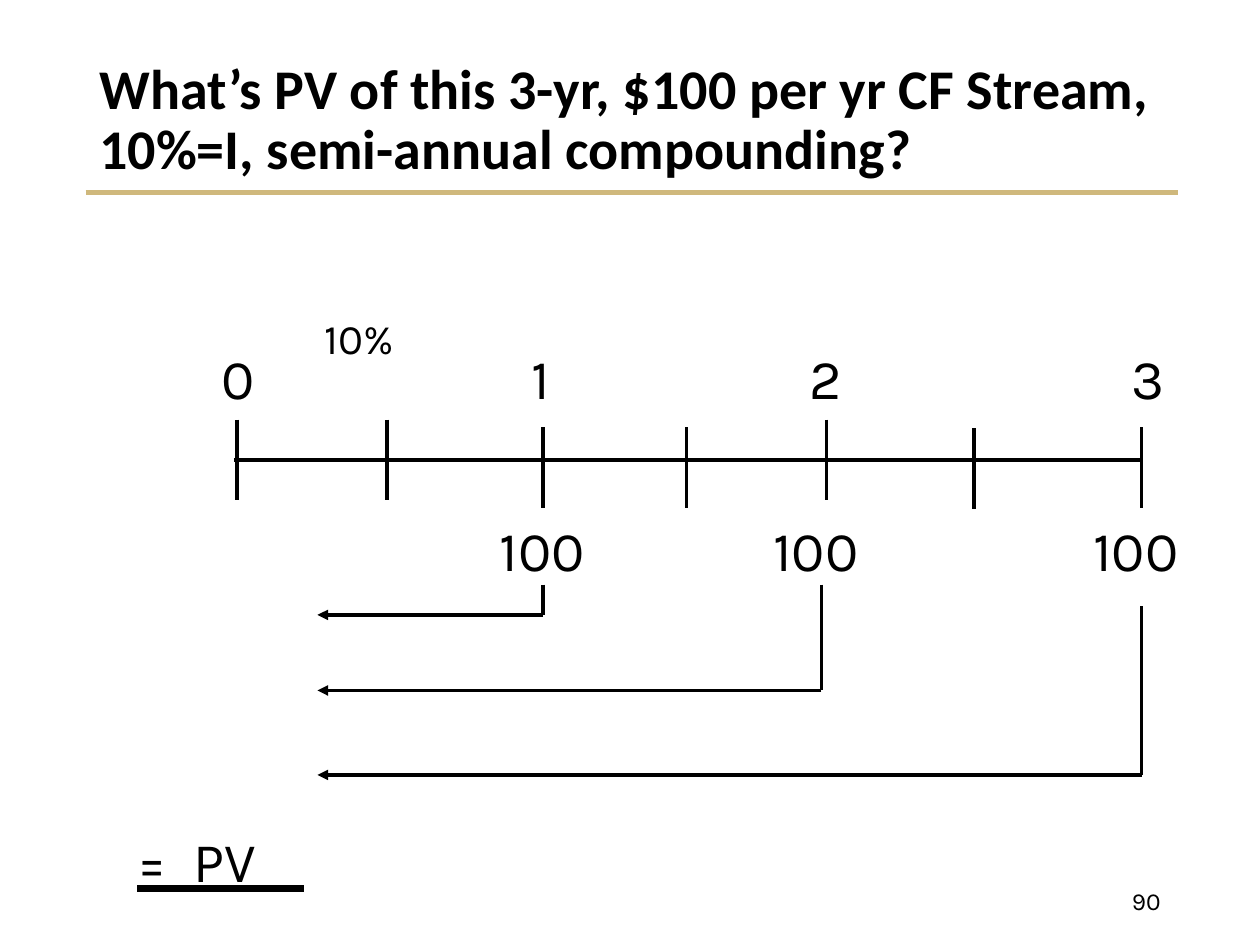
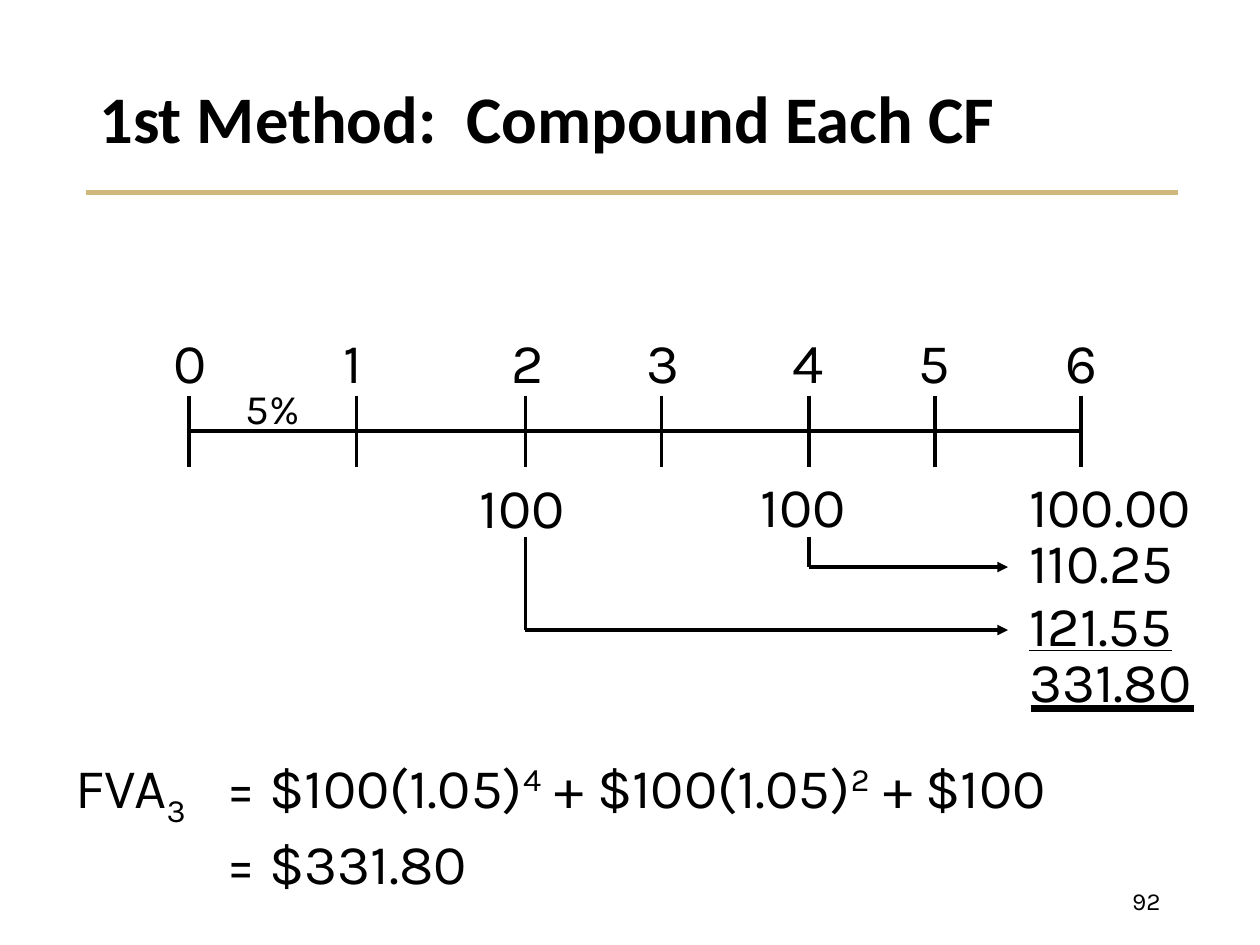
from lxml import etree
from pptx import Presentation
from pptx.dml.color import RGBColor
from pptx.enum.shapes import MSO_CONNECTOR
from pptx.enum.text import MSO_ANCHOR, PP_ALIGN
from pptx.oxml.ns import qn
from pptx.util import Inches, Pt

STRAIGHT = MSO_CONNECTOR.STRAIGHT
TOP, MIDDLE = MSO_ANCHOR.TOP, MSO_ANCHOR.MIDDLE
LEFT, RIGHT = PP_ALIGN.LEFT, PP_ALIGN.RIGHT
BLACK, GOLD = "000000", "CFB87C"
BODY = dict(name="Karla", size=Pt(32), bold=False)
RATE = dict(BODY, size=Pt(24))
NUMBER = dict(BODY, size=Pt(14))
TITLE = dict(name="Calibri", bold=True)


def add_text(s, x, y, w, h, paras, fmt=BODY, anchor=TOP, align=LEFT, wrap=False):
    """Each paragraph is a list of (text, baseline shift in percent)."""
    tf = s.shapes.add_textbox(Inches(x), Inches(y), Inches(w), Inches(h)).text_frame
    tf.word_wrap = wrap
    tf.vertical_anchor = anchor
    for i, runs in enumerate(paras):
        p = tf.add_paragraph() if i else tf.paragraphs[0]
        p.alignment = align
        for text, shift in runs:
            r = p.add_run()
            r.text = text
            for key, value in fmt.items():
                setattr(r.font, key, value)
            r.font.color.rgb = RGBColor.from_string(BLACK)
            if shift:
                r.font._element.set("baseline", str(shift * 1000))
    return tf


def add_line(s, x1, y1, x2, y2, color=BLACK, width=2, arrow=False):
    c = s.shapes.add_connector(STRAIGHT, Inches(x1), Inches(y1), Inches(x2), Inches(y2))
    c.line.color.rgb = RGBColor.from_string(color)
    c.line.width = Pt(width)
    if arrow:
        etree.SubElement(c.line._ln, qn("a:tailEnd"), type="triangle")
    etree.SubElement(c._element.spPr, qn("a:effectLst"))


prs = Presentation()
prs.slide_width, prs.slide_height = Inches(10), Inches(7.5)

# Shared title, rule and slide number
slides = []
for title, size, number in [
    ("What’s PV of this 3-yr, $100 per yr CF Stream, 10%=I, semi-annual compounding?", 32, "90"),
    ("1st Method:  Compound Each CF", 38, "92"),
]:
    s = prs.slides.add_slide(prs.slide_layouts[6])
    add_line(s, 0.68, 1.53, 9.35, 1.53, GOLD, 3)
    tf = add_text(s, 0.69, 0.4, 8.62, 1.13, [[(title, 0)]],
                  dict(TITLE, size=Pt(size)), MIDDLE, wrap=True)
    tf.paragraphs[0].line_spacing = 0.9
    add_text(s, 7.06, 6.95, 2.25, 0.4, [[(number, 0)]], NUMBER, MIDDLE, RIGHT, True)
    slides.append(s)

# Slide 1: three-year timeline with half-year ticks
s = slides[0]
add_line(s, 1.86, 3.65, 9.06, 3.65)
for x, y in [(1.88, 3.33), (3.07, 3.33), (4.31, 3.39), (5.45, 3.39),
             (6.56, 3.33), (7.73, 3.4), (9.06, 3.39)]:
    add_line(s, x, y, x, y + 0.64)
for year, x in enumerate([1.66, 4.12, 6.33, 8.88]):
    add_text(s, x, 2.68, 0.45, 0.63, [[(str(year), 0)]])
add_text(s, 2.48, 2.43, 0.91, 0.5, [[("10%", 0)]], RATE)

# Slide 1: cash flows discounted back to year 0
for label_x, x, top, bottom in [(3.87, 4.31, 4.64, 4.88),
                                (6.04, 6.52, 4.64, 5.48),
                                (8.58, 9.06, 4.81, 6.15)]:
    add_text(s, label_x, 4.04, 0.94, 0.63, [[("100", 0)]])
    add_line(s, x, top, x, bottom)
    add_line(s, x, bottom, 2.52, bottom, arrow=True)
add_text(s, 0.99, 6.51, 1.32, 0.64, [[("=  PV", 0)]])
add_line(s, 1.09, 7.05, 2.41, 7.05, width=4)

# Slide 2: timeline of six half-year periods
s = slides[1]
add_line(s, 1.5, 3.42, 8.58, 3.42)
for period, (x, label_x) in enumerate([(1.5, 1.28), (2.83, 2.63), (4.17, 3.96), (5.25, 5.03),
                                       (6.42, 6.19), (7.42, 7.19), (8.58, 8.36)]):
    add_line(s, x, 3.14, x, 3.71)
    add_text(s, label_x, 2.55, 0.44, 0.63, [[(str(period), 0)]])
add_text(s, 1.85, 2.99, 0.71, 0.5, [[("5%", 0)]], RATE)

# Slide 2: cash flows compounded to period 6
for label_x, label_y, x, bottom in [(3.71, 3.7, 4.17, 5), (5.94, 3.69, 6.42, 4.5)]:
    add_text(s, label_x, label_y, 0.93, 0.63, [[("100", 0)]])
    add_line(s, x, 4.26, x, bottom)
    add_line(s, x, bottom, 8, bottom, arrow=True)

# Slide 2: column of future values and their sum
for value, y in [("100.00", 3.69), ("110.25", 4.14), ("121.55", 4.64), ("331.80", 5.08)]:
    add_text(s, 8.07, y, 1.55, 0.63, [[(value, 0)]],
             dict(BODY, underline=value == "121.55"), wrap=True)
add_line(s, 8.18, 5.62, 9.48, 5.62, width=4)

# Slide 2: formula, with the equals signs on a tab stop
tf = add_text(s, 0.5, 5.92, 8.7, 1.16, [
    [("FVA", 0), ("3", -25), ("\t= $100(1.05)", 0), ("4", 30),
     (" + $100(1.05)", 0), ("2", 30), (" + $100", 0)],
    [("\t= $331.80", 0)],
], wrap=True)
for p in tf.paragraphs:
    tabs = etree.SubElement(p._p.get_or_add_pPr(), qn("a:tabLst"))
    etree.SubElement(tabs, qn("a:tab"), pos=str(Inches(1.2)), algn="l")

prs.save("out.pptx")
